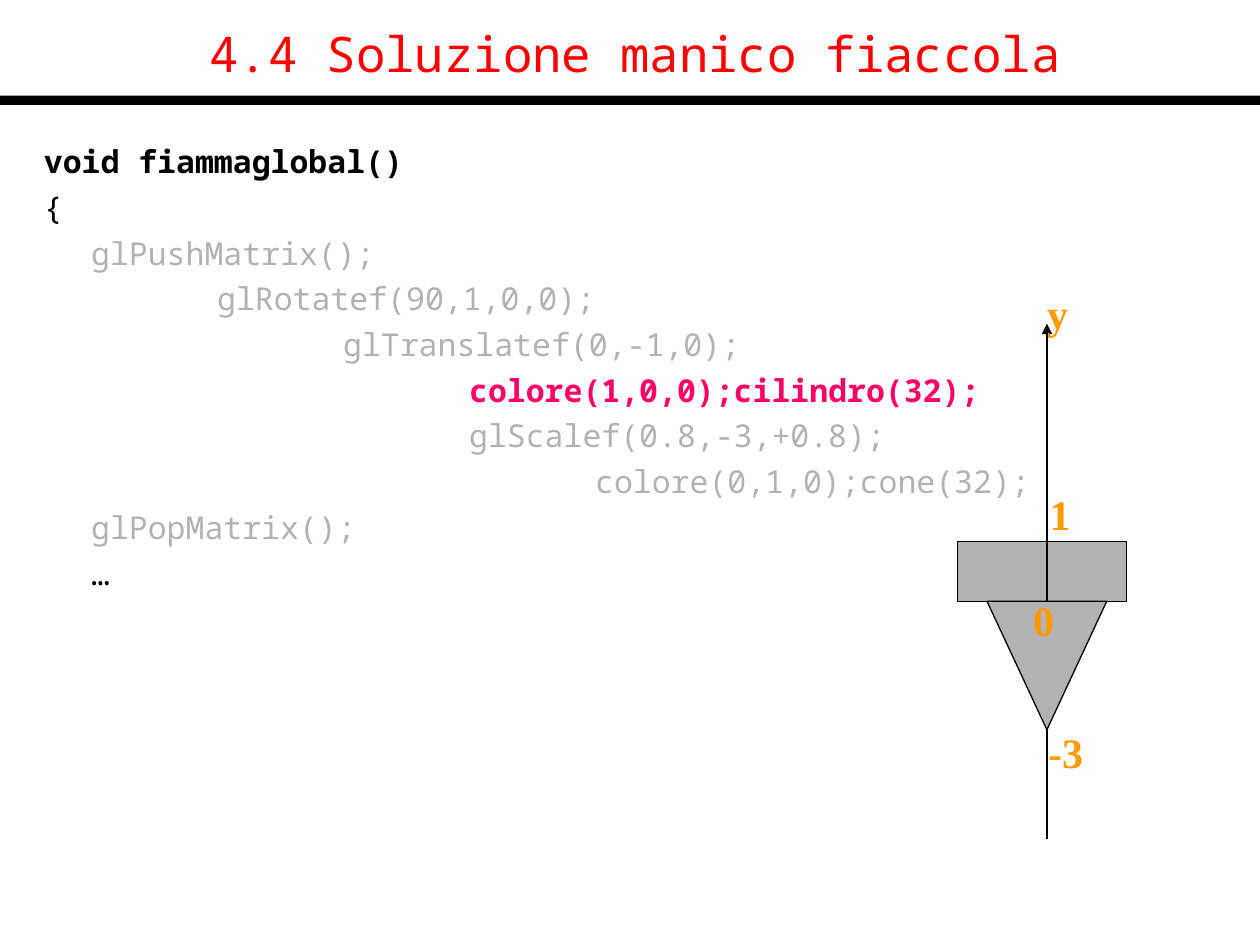
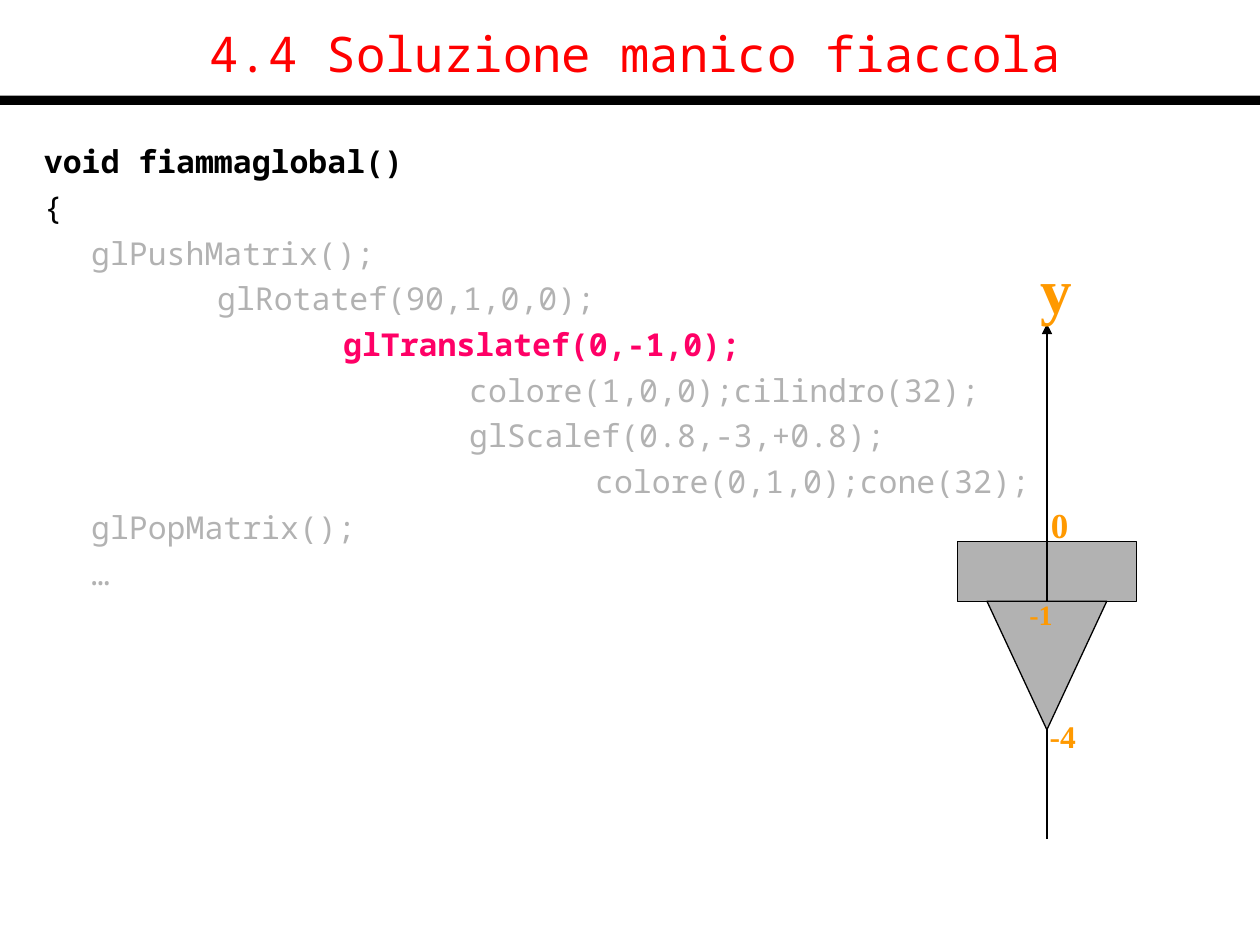
from dataclasses import dataclass

from lxml import etree
from pptx import Presentation
from pptx import util as u
from pptx.dml.color import RGBColor
from pptx.enum import shapes, text
from pptx.oxml import ns


@dataclass(frozen=True)
class Theme:
    ink: str = "000000"
    title: str = "FF0000"
    muted: str = "B2B2B2"
    accent: str = "FF0066"
    label: str = "FF9900"
    code_font: str = "Noto Sans Mono"
    label_font: str = "Times New Roman"
    title_size: float = 28
    code_size: float = 18
    line_width: float = 0.75
    first_indent: float = 27
    tab: float = 72
    paragraph_gap: float = 4.5


def apply(target, values):
    for name, value in values.items():
        setattr(target, name, value)


class Deck:
    def __init__(self, theme):
        self.theme = theme
        self.file = Presentation()
        apply(self.file, {"slide_width": u.Pt(720), "slide_height": u.Pt(540)})
        self.slide = None

    def new_slide(self, title):
        theme = self.theme
        self.slide = self.file.slides.add_slide(self.file.slide_layouts[6])
        self.shape(shapes.MSO_SHAPE.RECTANGLE, (0, 54.6, 720, 5.4), theme.ink, outlined=False)
        frame = self.frame((18, 6, 690, 48), vertical_anchor=text.MSO_ANCHOR.MIDDLE)
        self.add_words(frame.paragraphs[0], title, theme.code_font, theme.title_size,
                       theme.title, alignment=text.PP_ALIGN.CENTER)

    def frame(self, box, **values):
        frame = self.slide.shapes.add_textbox(*map(u.Pt, box)).text_frame
        apply(frame, {"word_wrap": True, **values})
        return frame

    def add_words(self, paragraph, words, font, size, color, bold=False, **values):
        apply(paragraph, values)
        run = paragraph.add_run()
        run.text = words
        apply(run.font, {"name": font, "size": u.Pt(size), "bold": bold})
        run.font.color.rgb = RGBColor.from_string(color)

    def shape(self, kind, box, fill, outlined=True, rotation=0):
        part = self.slide.shapes.add_shape(kind, *map(u.Pt, box))
        part.shadow.inherit = False
        part.rotation = rotation
        part.fill.solid()
        part.fill.fore_color.rgb = RGBColor.from_string(fill)
        if outlined:
            self.outline(part)
        else:
            part.line.fill.background()

    def outline(self, part):
        part.line.width = u.Pt(self.theme.line_width)
        part.line.color.rgb = RGBColor.from_string(self.theme.ink)

    def arrow(self, start, end):
        axis = self.slide.shapes.add_connector(
            shapes.MSO_CONNECTOR.STRAIGHT, *map(u.Pt, start + end))
        self.outline(axis)
        outline = axis._element.spPr.find(ns.qn("a:ln"))
        etree.SubElement(outline, ns.qn("a:tailEnd"), type="triangle")
        etree.SubElement(axis._element.spPr, ns.qn("a:effectLst"))

    def label(self, words, size, left, top):
        text_width = size * sum(0.33 if letter == "-" else 0.5 for letter in words)
        frame = self.frame((left, top, text_width + 14.4, 1.2 * size + 7.2), word_wrap=False)
        self.add_words(frame.paragraphs[0], words, self.theme.label_font, size,
                       self.theme.label, bold=True, alignment=text.PP_ALIGN.CENTER)

    def code(self, lines, box, highlighted, dark):
        theme = self.theme
        frame = self.frame(box)
        for number, (depth, words) in enumerate(lines):
            paragraph = frame.add_paragraph() if number else frame.paragraphs[0]
            indent = theme.first_indent + theme.tab * (depth - 1) if depth else 0
            paragraph._p.get_or_add_pPr().set("marL", str(u.Pt(indent)))
            color = (theme.accent if number == highlighted
                     else theme.ink if number in dark else theme.muted)
            self.add_words(paragraph, words, theme.code_font, theme.code_size, color,
                           bold=number in (0, highlighted),
                           space_before=u.Pt(theme.paragraph_gap if number else 0))


TITLE = "4.4 Soluzione manico fiaccola"
CODE = [
    (0, "void fiammaglobal()"),
    (0, "{"),
    (1, "glPushMatrix();"),
    (2, "glRotatef(90,1,0,0);"),
    (3, "glTranslatef(0,-1,0);"),
    (4, "colore(1,0,0);cilindro(32);"),
    (4, "glScalef(0.8,-3,+0.8);"),
    (5, "colore(0,1,0);cone(32);"),
    (1, "glPopMatrix();"),
    (1, "…"),
]
STEPS = [
    {"highlighted": 5, "dark": (0, 1, 9), "cylinder_width": 96.4,
     "labels": [("0", 24, 583.2, 336.2), ("-3", 24, 591.8, 411.8),
                ("y", 24, 591.1, 160.6), ("1", 24, 592.6, 275.8)]},
    {"highlighted": 4, "dark": (0, 1), "cylinder_width": 102.2,
     "labels": [("-1", 16, 581, 337.7), ("-4", 18, 592.6, 406.1),
                ("y", 36, 587.5, 139.7), ("0", 20, 593.3, 284.4)]},
]


def main():
    theme = Theme()
    deck = Deck(theme)
    for step in STEPS:
        deck.new_slide(TITLE)
        deck.shape(shapes.MSO_SHAPE.RECTANGLE,
                   (547.2, 309.6, step["cylinder_width"], 34), theme.muted)
        deck.code(CODE, (18, 77.8, 684, 450), step["highlighted"], step["dark"])
        deck.arrow((598.3, 479.5), (598.3, 185))
        deck.shape(shapes.MSO_SHAPE.ISOSCELES_TRIANGLE,
                   (564, 343.6, 68.4, 73.4), theme.muted, rotation=180)
        for label in step["labels"]:
            deck.label(*label)
    deck.file.save("out.pptx")


if __name__ == "__main__":
    main()
